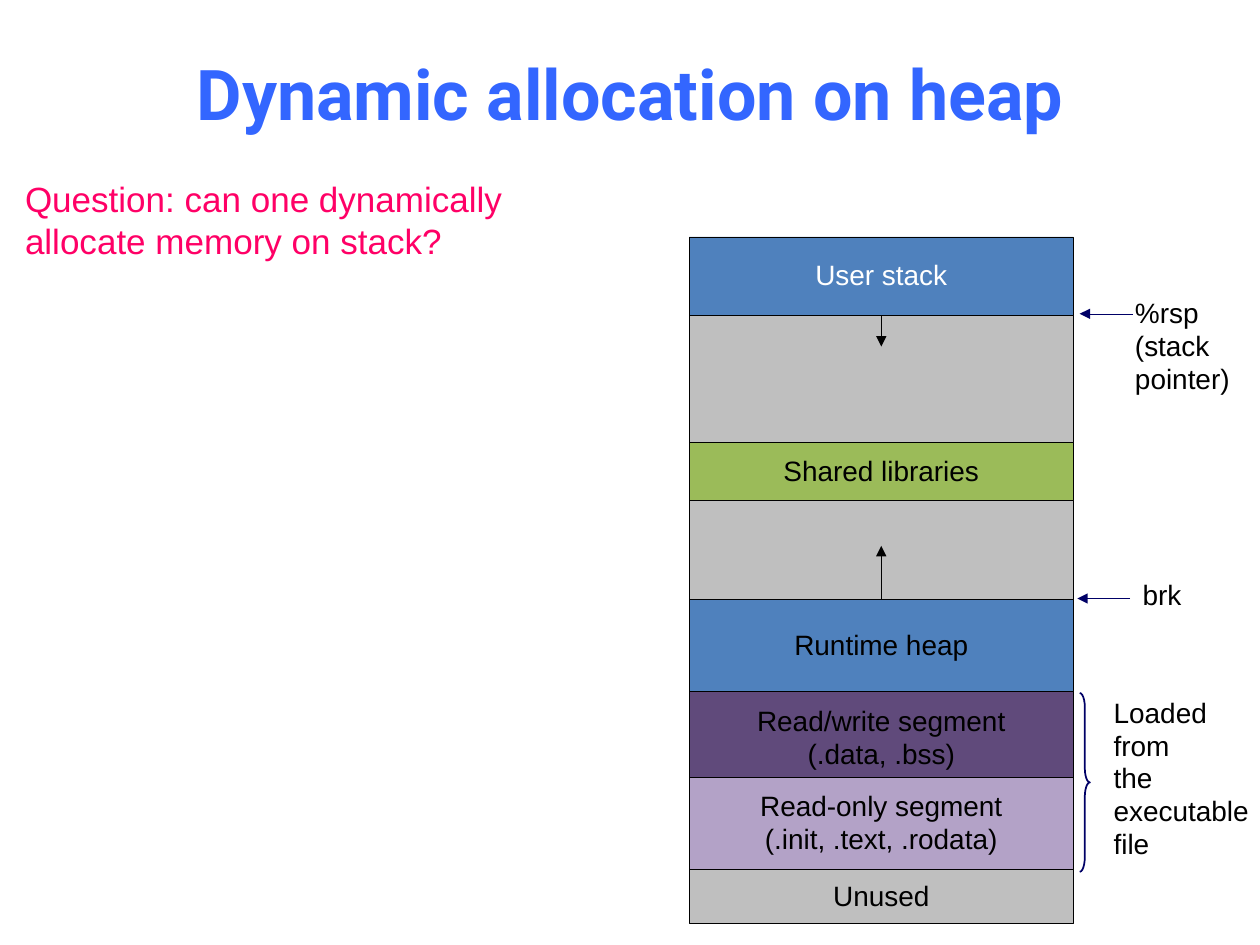
import pptx
import pptx.util
import pptx.dml.color
import pptx.enum.shapes
import pptx.enum.text
import pptx.oxml.ns
import lxml.etree

Pt = pptx.util.Pt
RGBColor = pptx.dml.color.RGBColor
MSO_SHAPE = pptx.enum.shapes.MSO_SHAPE
PP_ALIGN = pptx.enum.text.PP_ALIGN
MSO_ANCHOR = pptx.enum.text.MSO_ANCHOR
MSO_AUTO_SIZE = pptx.enum.text.MSO_AUTO_SIZE
qn = pptx.oxml.ns.qn

BLACK = RGBColor(0x00, 0x00, 0x00)
WHITE = RGBColor(0xFF, 0xFF, 0xFF)
NAVY = RGBColor(0x00, 0x00, 0x66)
TITLE_BLUE = RGBColor(0x33, 0x66, 0xFF)
PINK = RGBColor(0xFF, 0x00, 0x66)
GRAY = RGBColor(0xBF, 0xBF, 0xBF)
BLUE = RGBColor(0x4F, 0x81, 0xBD)
GREEN = RGBColor(0x9B, 0xBB, 0x59)
PURPLE = RGBColor(0x60, 0x4A, 0x7B)
LILAC = RGBColor(0xB3, 0xA2, 0xC7)

SEGMENTS = [
    (["User stack"], 44.6, BLUE, WHITE),
    ([], 72.7, GRAY, BLACK),
    (["Shared libraries"], 33.1, GREEN, BLACK),
    ([], 56.9, GRAY, BLACK),
    (["Runtime heap"], 52.6, BLUE, BLACK),
    (["Read/write segment", "(.data, .bss)"], 52.6, PURPLE, BLACK),
    (["Read-only segment", "(.init, .text, .rodata)"], 52.6, LILAC, BLACK),
    (["Unused"], 31, GRAY, BLACK),
]
OVERLAPS = {5: 3.7}


def write_lines(tf, lines, size, color, font="Arial", align=PP_ALIGN.LEFT,
                spacing=0.98, bold=False):
    for i, line in enumerate(lines):
        p = tf.paragraphs[0] if i == 0 else tf.add_paragraph()
        p.alignment = align
        p.line_spacing = spacing
        r = p.add_run()
        r.text = line
        r.font.name = font
        r.font.size = Pt(size)
        r.font.bold = bold
        r.font.color.rgb = color


def add_label(s, box, lines, size=16, color=BLACK, wrap=False, spacing=0.98):
    tf = s.shapes.add_textbox(*map(Pt, box)).text_frame
    tf.word_wrap = wrap
    tf.auto_size = MSO_AUTO_SIZE.SHAPE_TO_FIT_TEXT
    write_lines(tf, lines, size, color, spacing=spacing)


def add_arrow(s, start, end, color):
    sp = s.shapes.add_connector(pptx.enum.shapes.MSO_CONNECTOR.STRAIGHT,
                                *map(Pt, start + end))
    sp.line.color.rgb = color
    sp.line.width = Pt(0.25)
    ln = sp.line._get_or_add_ln()
    lxml.etree.SubElement(ln, qn("a:tailEnd"), type="triangle")
    lxml.etree.SubElement(sp._element.spPr, qn("a:effectLst"))


def add_title(s, box):
    sp = s.shapes.title
    sp.left, sp.top, sp.width, sp.height = map(Pt, box)
    tf = sp.text_frame
    tf.vertical_anchor = MSO_ANCHOR.MIDDLE
    write_lines(tf, ["Dynamic allocation on heap"], 40, TITLE_BLUE, "Roboto",
                PP_ALIGN.CENTER, 1.0, True)


def add_memory_column(s, box):
    left, top, width, _ = box
    for i, (lines, height, fill, color) in enumerate(SEGMENTS):
        sp = s.shapes.add_shape(MSO_SHAPE.RECTANGLE,
                                *map(Pt, (left, top, width, height)))
        sp.shadow.inherit = False
        sp.fill.solid()
        sp.fill.fore_color.rgb = fill
        sp.line.color.rgb = BLACK
        sp.line.width = Pt(0.25)
        tf = sp.text_frame
        tf.word_wrap = False
        tf.vertical_anchor = MSO_ANCHOR.MIDDLE
        write_lines(tf, lines, 16, color, align=PP_ALIGN.CENTER)
        top += height - OVERLAPS.get(i, 0)


def add_growth_arrows(s, box):
    left, top, width, height = box
    x = left + width / 2
    add_arrow(s, (x, top), (x, top + 18), BLACK)
    add_arrow(s, (x, top + height), (x, top + height - 30.3), BLACK)


def add_pointers(s, box):
    left, top, _, height = box
    bottom = top + height
    add_arrow(s, (left + 31.7, top), (left + 1.4, top), NAVY)
    add_label(s, (left + 25.9, top - 13, 69.1, 64.1),
              ["%rsp", "(stack", "pointer)"])
    add_arrow(s, (left + 30.2, bottom), (left, bottom), NAVY)
    add_label(s, (left + 30.2, bottom - 13.7, 37.4, 25.9), ["brk"],
              spacing=0.94)


def add_executable_brace(s, box):
    left, top, _, height = box
    sp = s.shapes.add_shape(MSO_SHAPE.RIGHT_BRACE,
                            *map(Pt, (left, top, 5.8, height)))
    sp.shadow.inherit = False
    sp.adjustments[0] = 1.417
    sp.adjustments[1] = 0.5
    sp.fill.background()
    sp.line.color.rgb = NAVY
    sp.line.width = Pt(1)
    add_label(s, (left + 12.3, top - 1.4, 92.2, height),
              ["Loaded", "from", "the", "executable", "file"])


def add_question(s, box):
    add_label(s, box,
              ["Question: can one dynamically", "allocate memory on stack?"],
              20, PINK, True, 1.0)


def main():
    prs = pptx.Presentation()
    prs.slide_width, prs.slide_height = Pt(720), Pt(540)
    s = prs.slides.add_slide(prs.slide_layouts[5])
    add_title(s, (36, 7.9, 648, 90))
    add_memory_column(s, (393.8, 135.4, 219.6, 392.4))
    add_growth_arrows(s, (393.8, 180, 219.6, 162.3))
    add_pointers(s, (615.6, 179.3, 104.4, 162.7))
    add_executable_brace(s, (617, 396, 104.5, 102.2))
    add_question(s, (7.2, 97.9, 368.6, 55.4))
    prs.save("out.pptx")


if __name__ == "__main__":
    main()
